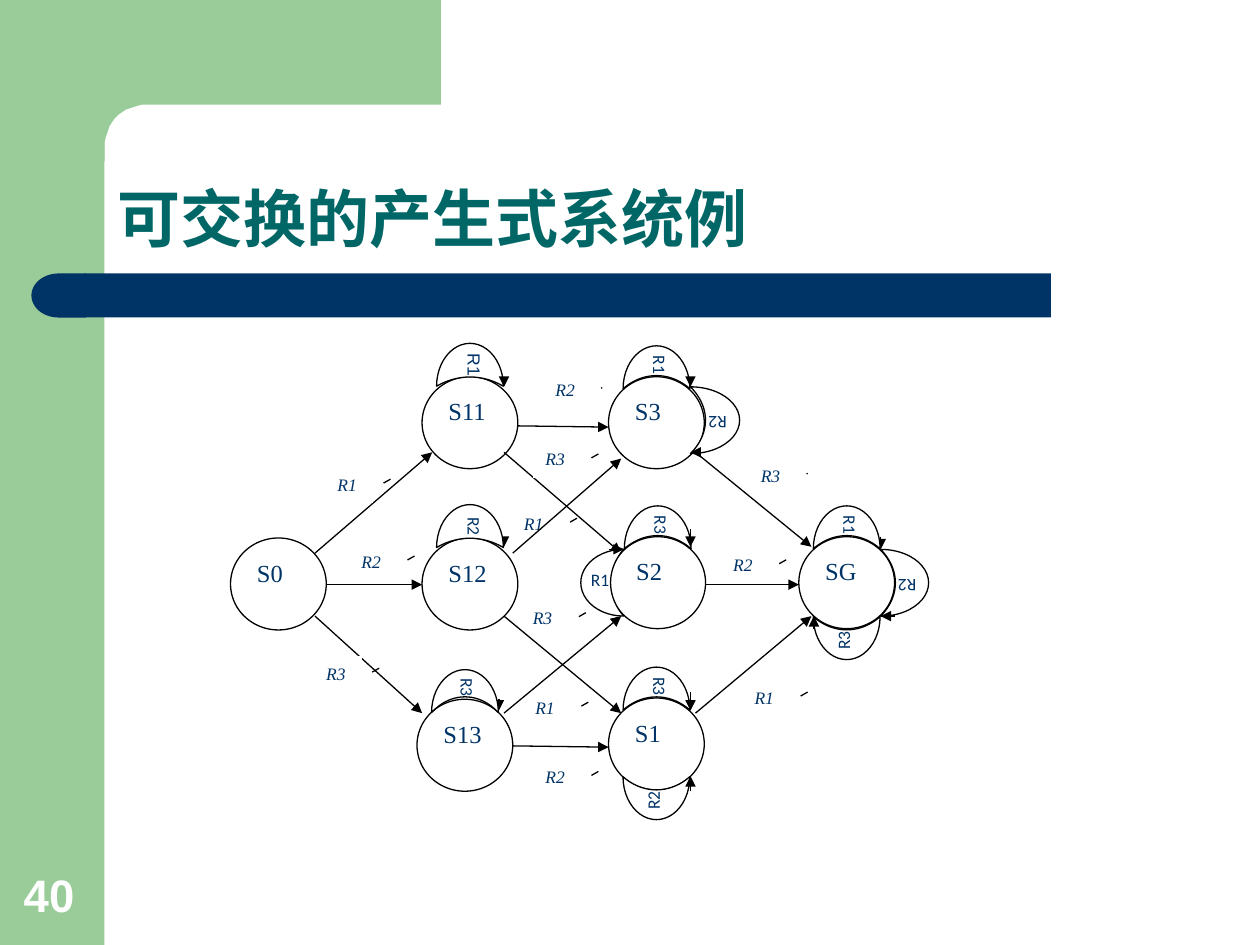
import math

from lxml import etree
from pptx import Presentation
from pptx.dml.color import RGBColor
from pptx.enum import shapes, text
from pptx.oxml.ns import qn
from pptx.util import Pt

PX = 9144  # one px is a hundredth of an inch
COLORS = {"green": "99CC99", "navy": "003366", "teal": "006666",
          "white": "FFFFFF", "black": "000000"}
KIND = shapes.MSO_SHAPE
ALIGN = text.PP_ALIGN


def add_box(kind, frame, fill, outlined=False, label="", size=10,
            font="Times New Roman", align=ALIGN.JUSTIFY, color="navy"):
    box = page.shapes.add_shape(kind, *(n * PX for n in frame))
    box.shadow.inherit = False
    box.fill.solid()
    box.fill.fore_color.rgb = RGBColor.from_string(COLORS[fill])
    if outlined:
        box.line.color.rgb = RGBColor.from_string(COLORS["black"])
        box.line.width = Pt(0.75)
    else:
        box.line.fill.background()
    if label:
        box.text_frame.vertical_anchor = text.MSO_ANCHOR.TOP
        para = box.text_frame.paragraphs[0]
        para.text = label
        para.alignment = align
        para.font.size = Pt(size)
        para.font.name = font
        para.font.color.rgb = RGBColor.from_string(COLORS[color])
    return box


def add_arrows(ends):
    for points in ends:
        arrow = page.shapes.add_connector(
            shapes.MSO_CONNECTOR.STRAIGHT, *(n * PX for n in points))
        arrow.line.color.rgb = RGBColor.from_string(COLORS["black"])
        arrow.line.width = Pt(0.75)
        props = arrow._element.spPr
        etree.SubElement(props.find(qn("a:ln")), qn("a:tailEnd"), type="triangle")
        etree.SubElement(props, qn("a:effectLst"))


deck = Presentation()
deck.slide_width, deck.slide_height = 1000 * PX, 750 * PX
page = deck.slides.add_slide(deck.slide_layouts[5])

# Green side band and header block with a rounded inner corner
add_box(KIND.RECTANGLE, (0, 0, 83, 750), "green")
corner = [(116 - 33 * math.sin(math.radians(a)), 116 - 33 * math.cos(math.radians(a)))
          for a in range(0, 91, 6)]
outline = page.shapes.build_freeform(350, 0, scale=PX)
outline.add_line_segments([(350, 83), *corner, (83, 128), (50, 128), (50, 0)])
header = outline.convert_to_shape()
header.shadow.inherit = False
header.fill.solid()
header.fill.fore_color.rgb = RGBColor.from_string(COLORS["green"])
header.line.fill.background()

# Navy bar with a rounded left end
add_box(KIND.RECTANGLE, (67, 217, 767, 35), "navy")
cap = add_box(KIND.FLOWCHART_DELAY, (25, 217, 43, 35), "navy")
cap._element.spPr.find(qn("a:xfrm")).set("flipH", "1")

# Title
title = page.shapes.title
title.left, title.top, title.width, title.height = (n * PX for n in (83, 83, 867, 125))
title.text_frame.text = "可交换的产生式系统例"
title.text_frame.vertical_anchor = text.MSO_ANCHOR.BOTTOM
para = title.text_frame.paragraphs[0]
para.alignment = ALIGN.LEFT
para.line_spacing = 0.9
para.font.size, para.font.bold, para.font.name = Pt(36), True, "Arial"
para.font.color.rgb = RGBColor.from_string(COLORS["teal"])

# Page number
number = page.shapes.add_textbox(*(n * PX for n in (9, 683, 64, 53)))
number.text_frame.word_wrap = True
number.text_frame.vertical_anchor = text.MSO_ANCHOR.BOTTOM
para = number.text_frame.paragraphs[0]
para.text = "40"
para.font.size, para.font.bold, para.font.name = Pt(26), True, "Arial"
para.font.color.rgb = RGBColor.from_string(COLORS["white"])

# Rule labels: name, left, top; the first group lies behind the arrows
BACK_LABELS = [("R1", 415, 548), ("R3", 413, 477), ("R1", 406, 402)]
FRONT_LABELS = [
    ("R3", 249, 521), ("R2", 277, 432), ("R1", 258, 371), ("R2", 572, 435),
    ("R3", 594, 364), ("R2", 431, 296), ("R3", 423, 351), ("R2", 423, 603),
    ("R1", 589, 540)]
SHORT_TICKS = [("R3", 594, 364), ("R2", 431, 296)]
STATES = [("S12", 335, 427), ("S11", 335, 299), ("S0", 183, 427), ("S13", 331, 555),
          ("S3", 483, 299), ("S2", 484, 426), ("SG", 634, 426), ("S1", 483, 554)]

for labels in (BACK_LABELS, FRONT_LABELS):
    for label in labels:
        name, left, top = label
        box = add_box(KIND.LINE_CALLOUT_1_NO_BORDER, (left, top, 38, 28), "white", True, name)
        box.text_frame.paragraphs[0].font.italic = True
        tick = (0.407, 1.228) if label in SHORT_TICKS else (0.333, 1.367)
        for i, value in enumerate((0.444, 1.222, *tick)):
            box.adjustments[i] = value

    if labels is BACK_LABELS:
        # Arrows behind the states, the states, then the arrows between them
        add_arrows([(699, 426, 699, 436), (400, 426, 400, 434), (396, 555, 396, 564),
                    (560, 464, 634, 464), (259, 464, 335, 464)])
        for name, left, top in STATES:
            add_box(KIND.FLOWCHART_CONNECTOR, (left, top, 76, 73), "white", True, name, 14)
        add_arrows([
            (250, 439, 343, 359), (250, 489, 335, 566), (407, 592, 483, 593),
            (400, 566, 493, 489), (400, 489, 493, 566), (407, 439, 493, 364),
            (411, 338, 483, 339), (552, 359, 644, 434), (400, 359, 493, 439),
            (552, 566, 644, 489)])

# Self loops: rule, left, top, width, rotation, thickness
LOOPS = [
    ("R1", 356, 263, 34, 90, 0.785), ("R2", 356, 391, 34, 90, 0.785),
    ("R3", 352, 522, 34, 90, 0.634), ("R2", 548, 307, 39, 180, 0.694),
    ("R1", 655, 392, 34, 90, 0.694), ("R3", 505, 392, 34, 90, 0.694),
    ("R3", 504, 520, 34, 90, 0.694), ("R2", 504, 607, 34, 270, 0.694),
    ("R1", 504, 265, 34, 90, 0.694), ("R2", 699, 436, 38, 180, 0.694),
    ("R3", 655, 480, 34, 270, 0.694), ("R1", 461, 436, 34, 0, 0.694)]
for i, (name, left, top, width, turn, thickness) in enumerate(LOOPS):
    loop = add_box(KIND.MOON, (left, top, width, 53), "white", True, name,
                   font="Calibri" if i else "Arial", align=ALIGN.CENTER)
    loop.rotation = turn
    loop.adjustments[0] = thickness
    loop.text_frame.margin_left = loop.text_frame.margin_right = 0

# Arrow tips of the self loops
add_arrows([
    (400, 299, 400, 307), (548, 299, 548, 307), (559, 359, 548, 359),
    (548, 420, 548, 434), (483, 436, 495, 436), (548, 549, 548, 564),
    (548, 628, 548, 616), (710, 489, 699, 489), (646, 499, 646, 489)])

deck.save("out.pptx")
